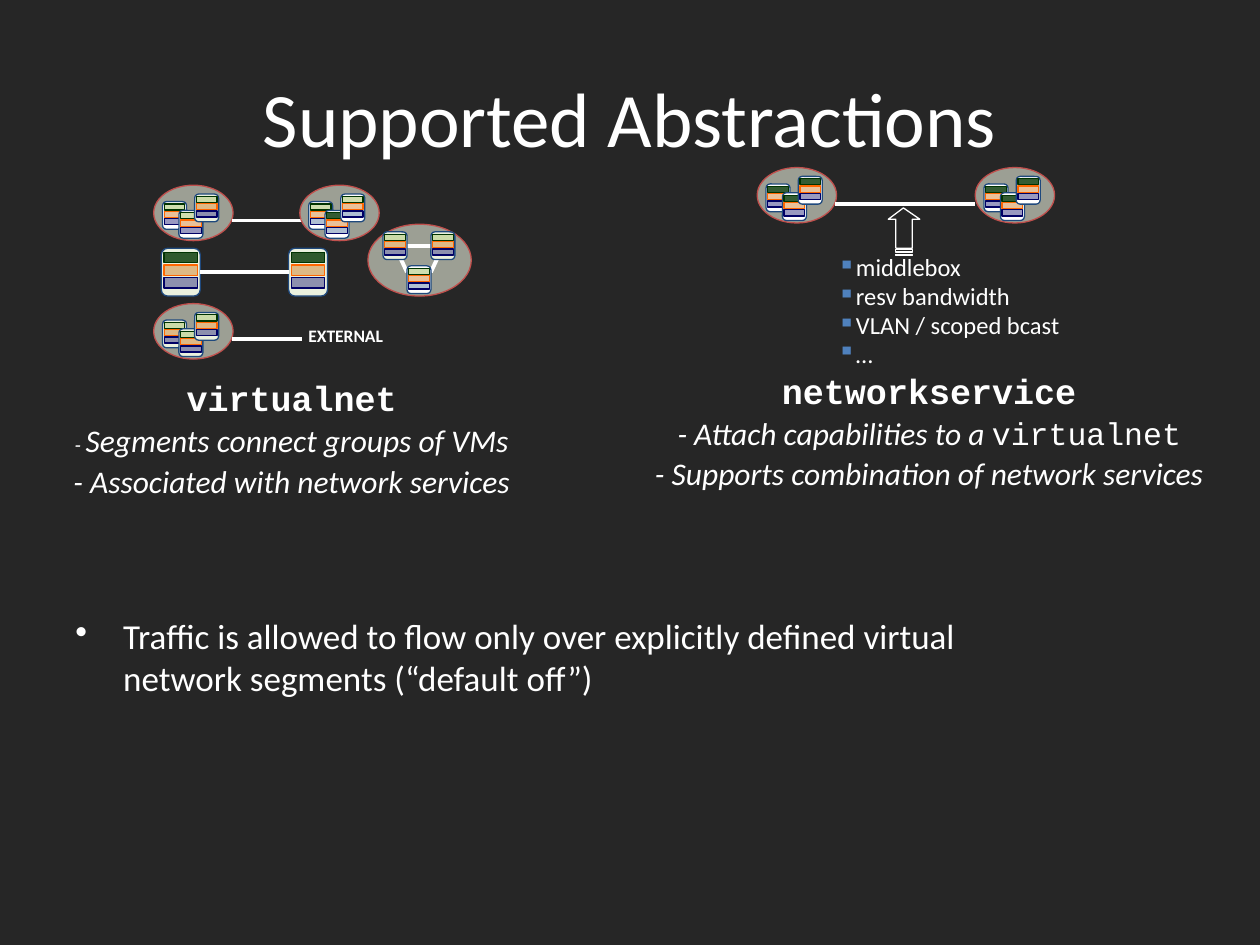
from lxml import etree
from pptx import Presentation
from pptx import util as u
from pptx.dml.color import RGBColor
from pptx.enum import shapes, text
from pptx.oxml.ns import qn

WHITE, PALE, NAVY, BLUE = "FFFFFF", "EBF1DE", "000066", "376092"
GREEN, LIGHT_GREEN, ORANGE = "003300", "C3D69B", "CC6600"
SANS, MONO = "Calibri", "Courier New"
CLUSTER_SIZE = (0.63, 0.44)
VM_SIZE = (0.19, 0.22)
CLUSTER_SPOTS = [(0.07, 0.13), (0.2, 0.2), (0.325, 0.07)]


def color(value):
    return RGBColor.from_string(value)


class Slide:
    """Holds the style and the page being drawn."""

    def __init__(self, deck):
        self.page = deck.slides.add_slide(deck.slide_layouts[6])
        self.page.background.fill.solid()
        self.page.background.fill.fore_color.rgb = color("262626")

    def shape(self, kind, box, fill, line, opacity=100, parent=None):
        parent = parent or self.page.shapes
        item = parent.add_shape(kind, *map(u.Inches, box))
        item.shadow.inherit = False
        item.fill.solid()
        item.fill.fore_color.rgb = color(fill)
        if opacity < 100:
            tint = item._element.spPr.find(qn("a:solidFill"))[0]
            etree.SubElement(tint, qn("a:alpha"), val=str(opacity * 1000))
        item.line.color.rgb = color(line)
        item.line.width = u.Pt(0.75)

    def link(self, x1, y1, x2, y2):
        line = self.page.shapes.add_connector(
            shapes.MSO_CONNECTOR.STRAIGHT, *map(u.Inches, (x1, y1, x2, y2)))
        line.line.color.rgb = color(WHITE)
        line.line.width = u.Pt(2.25)
        etree.SubElement(line._element.spPr, qn("a:effectLst"))

    def ellipse(self, x, y, width, height):
        self.shape(shapes.MSO_SHAPE.OVAL, (x, y, width, height), PALE, "C0504D", 60)

    def vm(self, x, y, size=VM_SIZE, body=PALE, top=LIGHT_GREEN, bottom=NAVY):
        """A rounded box with three coloured bands, grouped."""
        width, height = size
        group = self.page.shapes.add_group_shape().shapes
        self.shape(shapes.MSO_SHAPE.ROUNDED_RECTANGLE, (x, y, width, height),
                   body, "1F497D", parent=group)
        bands = [(top, GREEN, 80), (ORANGE, "FF6600", 40), (bottom, NAVY, 40)]
        for row, (fill, line, opacity) in enumerate(bands):
            box = (x + 0.07 * width, y + (0.085 + 0.265 * row) * height,
                   0.86 * width, 0.22 * height)
            self.shape(shapes.MSO_SHAPE.RECTANGLE, box, fill, line, opacity, group)

    def cluster(self, x, y, bodies=(WHITE,) * 3, tops=(GREEN,) * 3, bottom=NAVY):
        self.ellipse(x, y, *CLUSTER_SIZE)
        for (dx, dy), body, top in zip(CLUSTER_SPOTS, bodies, tops):
            self.vm(x + dx, y + dy, body=body, top=top, bottom=bottom)

    def outline(self, contours):
        builder = None
        for first, *rest in contours:
            start = [u.Inches(v) for v in first]
            if builder is None:
                builder = self.page.shapes.build_freeform(*start)
            else:
                builder.move_to(*start)
            builder.add_line_segments([(u.Inches(x), u.Inches(y)) for x, y in rest])
        item = builder.convert_to_shape()
        item.shadow.inherit = False
        item.fill.background()
        item.line.color.rgb = color(WHITE)
        item.line.width = u.Pt(0.75)

    def text(self, box, paragraphs, align=text.PP_ALIGN.LEFT, wrap=False,
             anchor=text.MSO_ANCHOR.TOP, indent=0, bullet=None,
             bullet_color=WHITE, spacing=1.0, before=0):
        """Each paragraph is a list of (text, size, font, style letters)."""
        frame = self.page.shapes.add_textbox(*map(u.Inches, box)).text_frame
        frame.word_wrap = wrap
        frame.vertical_anchor = anchor
        for index, spans in enumerate(paragraphs):
            para = frame.add_paragraph() if index else frame.paragraphs[0]
            para.alignment = align
            props = para._p.get_or_add_pPr()
            if indent:
                props.set("marL", str(u.Inches(indent)))
                props.set("indent", str(-u.Inches(indent)))
            if bullet:
                tint = etree.SubElement(props, qn("a:buClr"))
                etree.SubElement(tint, qn("a:srgbClr"), val=bullet_color)
                etree.SubElement(props, qn("a:buChar"), char=bullet)
            para.line_spacing = spacing
            if index:
                para.space_before = u.Pt(before)
            for words, size, font, style in spans:
                span = para.add_run()
                span.text = words
                span.font.size = u.Pt(size)
                span.font.name = font
                span.font.bold = "b" in style
                span.font.italic = "i" in style
                span.font.color.rgb = color(WHITE)


def draw_virtualnet(slide):
    slide.cluster(1.22, 1.47, (WHITE, WHITE, PALE), (LIGHT_GREEN,) * 3)
    slide.link(1.84, 1.75, 2.4, 1.75)
    slide.cluster(2.38, 1.47, tops=(LIGHT_GREEN, GREEN, LIGHT_GREEN), bottom=BLUE)

    for x in (1.28, 2.29):
        slide.vm(x, 1.97, (0.31, 0.38), top=GREEN)
    slide.link(1.59, 2.16, 2.29, 2.16)

    slide.ellipse(2.92, 1.78, 0.82, 0.57)
    slide.link(3.23, 1.95, 3.42, 1.95)
    slide.link(3.17, 2.03, 3.23, 2.16)
    slide.link(3.48, 2.03, 3.42, 2.16)
    slide.vm(3.04, 1.84)
    slide.vm(3.23, 2.11, body=WHITE, bottom=BLUE)
    slide.vm(3.42, 1.84)

    slide.cluster(1.22, 2.41, (PALE,) * 3, (LIGHT_GREEN,) * 3)
    slide.link(1.84, 2.69, 2.4, 2.69)
    slide.text((2.35, 2.53, 0.8, 0.27), [[("EXTERNAL", 10, SANS, "b")]])


def draw_networkservice(slide):
    slide.cluster(6.01, 1.33)
    slide.link(6.63, 1.62, 7.74, 1.62)
    slide.cluster(7.74, 1.33)
    left, right = 7.11, 7.24
    arrow = [(7.05, 1.74), (left, 1.74), (left, 1.97), (right, 1.97),
             (right, 1.74), (7.3, 1.74), (7.17, 1.65)]
    stripes = [[(left, low), (right, low), (right, high), (left, high)]
               for high, low in ((1.98, 2.0), (2.02, 2.03))]
    slide.outline([arrow, *stripes])
    services = ["middlebox", "resv bandwidth", "VLAN / scoped bcast", "…"]
    slide.text((6.55, 1.98, 1.96, 1.02), [[(name, 14, SANS, "")] for name in services],
               indent=0.12, bullet="▪", bullet_color="4F81BD", spacing=0.9, before=1.4)


def main():
    deck = Presentation()
    deck.slide_width, deck.slide_height = u.Inches(10), u.Inches(7.5)
    slide = Slide(deck)
    center = text.PP_ALIGN.CENTER

    slide.text((0.5, 0.3, 9, 1.25), [[("Supported Abstractions", 44, SANS, "")]],
               align=center, wrap=True, anchor=text.MSO_ANCHOR.MIDDLE)
    slide.text((0.5, 4.83, 8.13, 0.99),
               [[("Traffic is allowed to flow only over explicitly defined virtual "
                  "network segments (“default off”)", 20, SANS, "")]],
               wrap=True, indent=0.38, bullet="•")
    draw_virtualnet(slide)
    draw_networkservice(slide)

    captions = [
        ((0.47, 2.98, 3.69, 1.07),
         [[("virtualnet", 20, MONO, "b")],
          [("- ", 12, SANS, "i"), ("Segments connect groups of VMs", 18, SANS, "i")],
          [("- Associated with network services", 18, SANS, "i")]]),
        ((5.08, 2.92, 4.59, 1.07),
         [[("networkservice", 20, MONO, "b")],
          [("- Attach capabilities to a ", 18, SANS, "i"), ("virtualnet", 18, MONO, "")],
          [("- Supports combination of network services", 18, SANS, "i")]]),
    ]
    for box, paragraphs in captions:
        slide.text(box, paragraphs, align=center, indent=0.19, spacing=0.9, before=3.6)

    deck.save("out.pptx")


if __name__ == "__main__":
    main()
